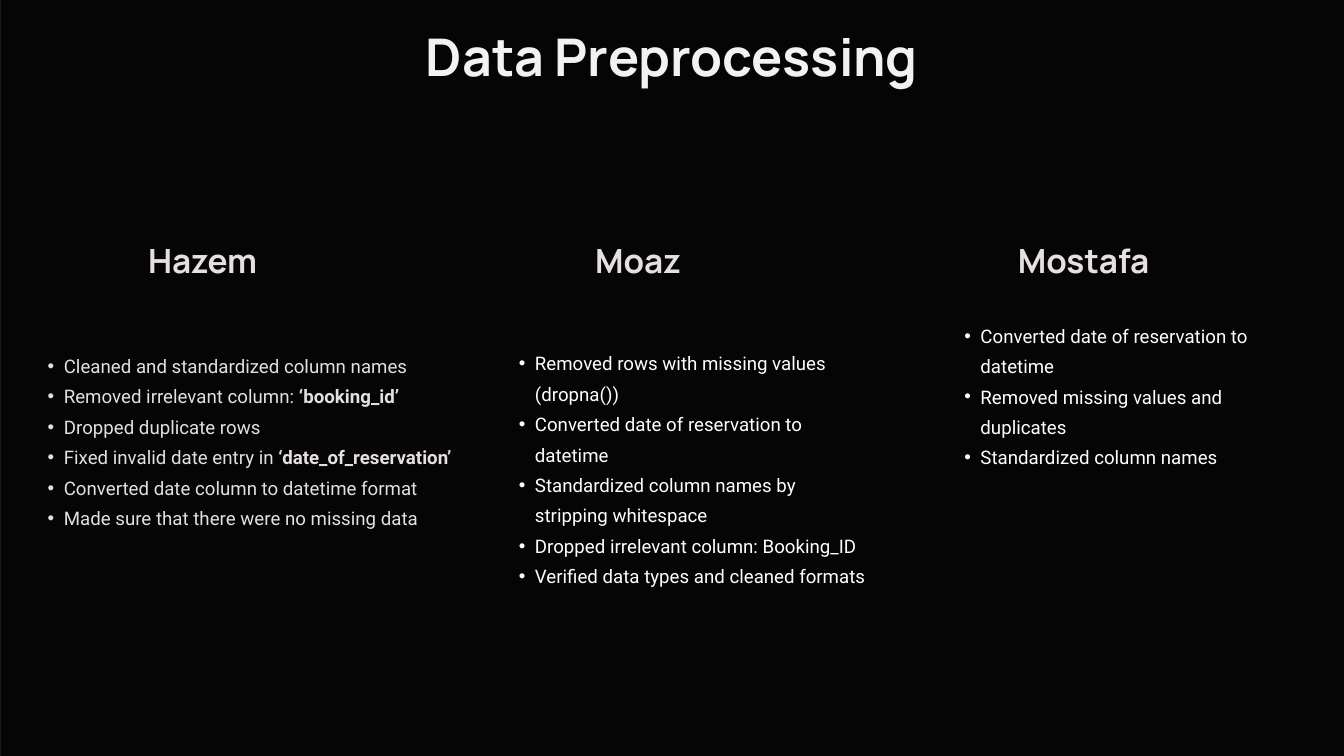
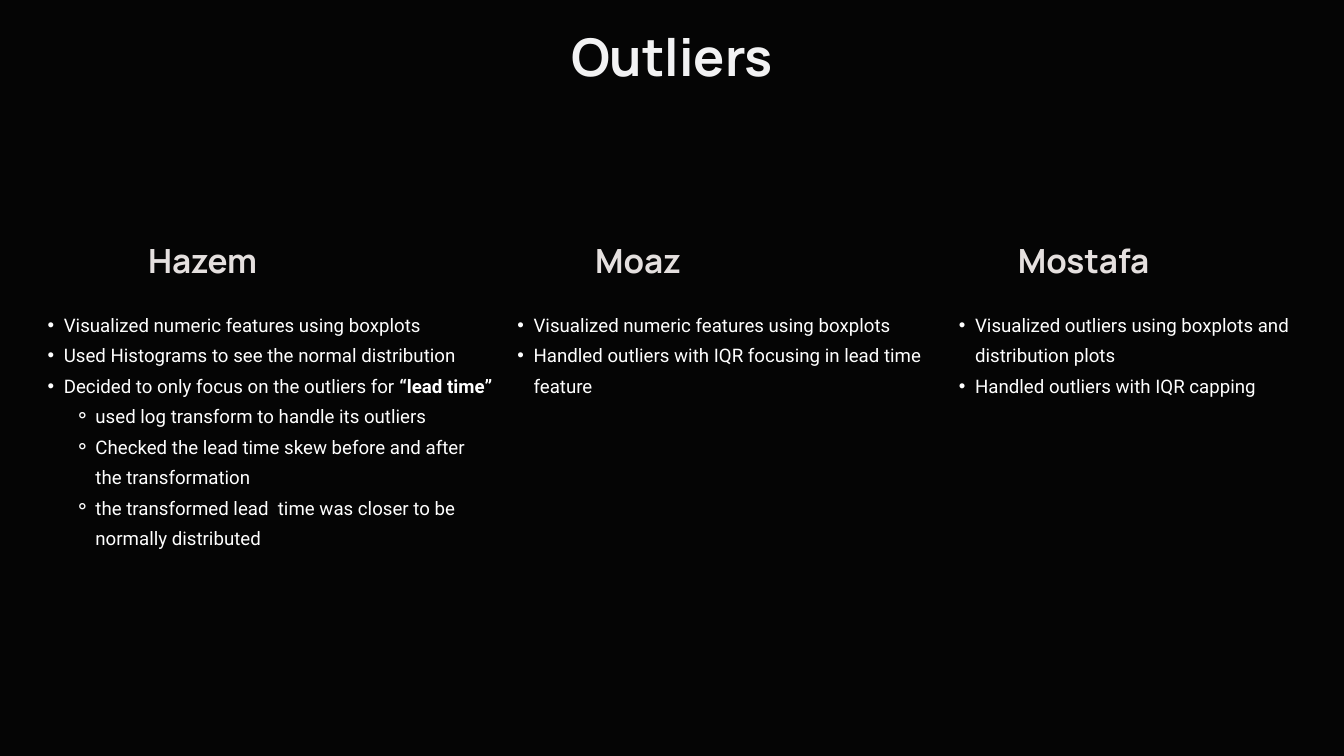
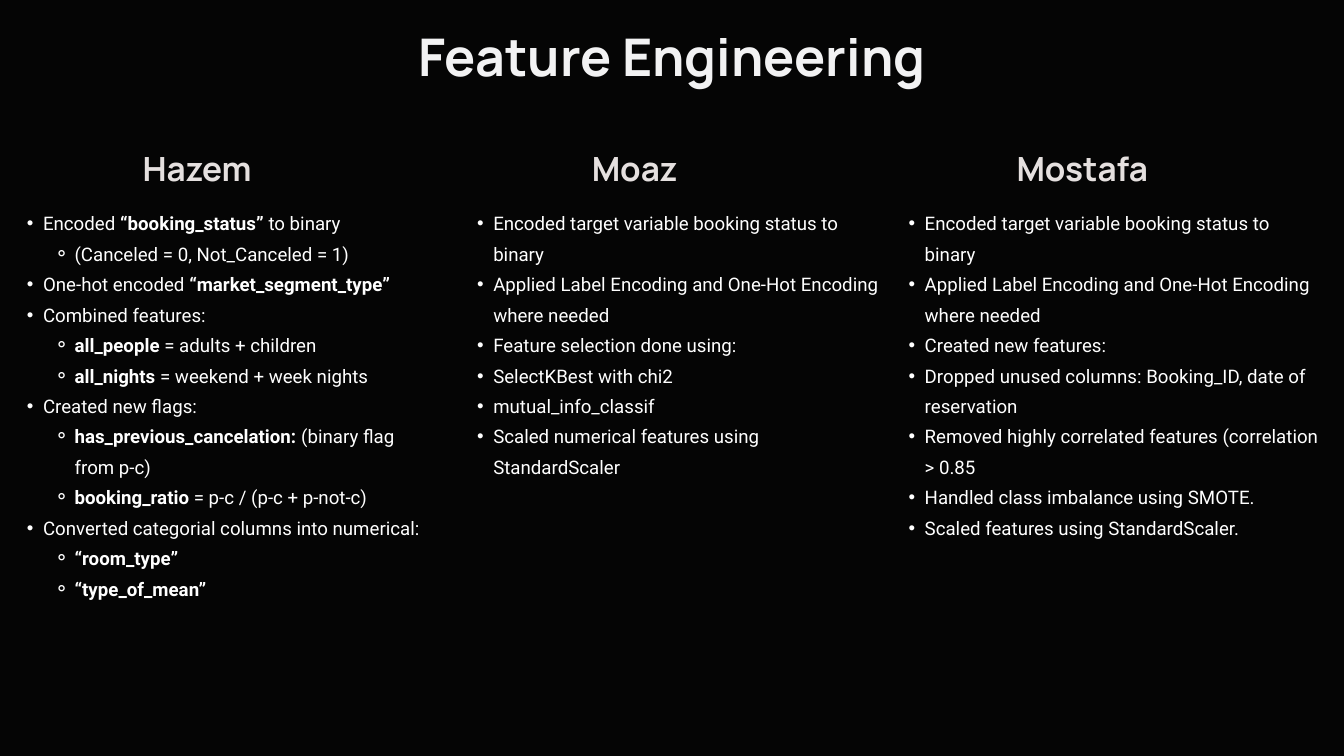
import copy

from lxml import etree
from pptx import Presentation, util as u
from pptx.dml.color import RGBColor
from pptx.enum import shapes, text
from pptx.oxml.ns import qn

WIDTH, HEIGHT = 20, 11.25
BLACK, EDGE, PANEL = "000000", "19191A", "050505"
TITLE_COLOR, SOFT, WHITE = "F2F2F3", "E5E0DF", "FFFFFF"

# style: font, size, line spacing (points)
TITLE_STYLE = ("Manrope", 55.6, 69.4)
NAME_STYLE = ("Manrope", 35.7, 44.6)
LIST_STYLE = ("Roboto", 20, 32.6)
# level: bullet, left margin, hanging indent (inches)
BULLETS = [("•", 0.47, 0.24), ("⚬", 0.94, 0.31)]

TITLE_BOX = (5.67, 0.33, 8.66, 1.01)
MEMBERS = [("Hazem", 1.81), ("Moaz", 1.45), ("Mostafa ", 2.19)]  # name, width
NAME_HEIGHT = 0.64

# Items: ** marks bold, a leading tab marks the second level.
# Each list: left, top, width, height, colour, items
SLIDES = [
    dict(title="Data Preprocessing", panel_left=0.02,
         names_top=3.55, names_left=(2.11, 8.77, 15.08), lists=[
        (0.48, 5.16, 6.86, 3.12, SOFT, [
            "Cleaned and standardized column names",
            "Removed irrelevant column:** ‘booking_id’**",
            "Dropped duplicate rows",
            "Fixed invalid date entry in **‘date_of_reservation’**",
            "Converted date column to datetime format",
            "Made sure that there were no missing data"]),
        (7.49, 5.12, 5.51, 3.57, WHITE, [
            "Removed rows with missing values (dropna())",
            "Converted date of reservation to datetime",
            "Standardized column names by stripping whitespace",
            "Dropped irrelevant column: Booking_ID",
            "Verified data types and cleaned formats"]),
        (14.12, 4.71, 5.41, 2.67, WHITE, [
            "Converted date of reservation to datetime",
            "Removed missing values and duplicates",
            "Standardized column names"]),
    ]),
    dict(title="Outliers", panel_left=0,
         names_top=3.55, names_left=(2.11, 8.77, 15.08), lists=[
        (0.48, 4.55, 6.86, 4.02, WHITE, [
            "Visualized numeric features using boxplots",
            "Used Histograms to see the normal distribution",
            "Decided to only focus on the outliers for **“lead time”**",
            "\tused log transform to handle its outliers",
            "\tChecked the lead time skew before and after the transformation",
            "\tthe transformed lead  time was closer to be normally distributed"]),
        (7.47, 4.55, 6.86, 1.33, WHITE, [
            "Visualized numeric features using boxplots",
            "Handled outliers with IQR focusing in lead time feature"]),
        (14.04, 4.55, 5.36, 1.33, WHITE, [
            "Visualized outliers using boxplots and distribution plots",
            "Handled outliers with IQR capping"]),
    ]),
    dict(title="Feature Engineering", panel_left=0,
         names_top=2.18, names_left=(2.03, 8.72, 15.06), lists=[
        (0.17, 3.04, 6.31, 5.81, WHITE, [
            "Encoded **“booking_status” **to binary",
            "\t(Canceled = 0, Not_Canceled = 1)",
            "One-hot encoded **“market_segment_type”**",
            "Combined features:",
            "\t**all_people** = adults + children",
            "\t**all_nights** = weekend + week nights",
            "Created new flags:",
            "\t**has_previous_cancelation: **(binary flag from p-c)",
            "\t**booking_ratio** = p-c / (p-c + p-not-c)",
            "Converted categorial columns into numerical:",
            "\t**“room_type”**",
            "\t**“type_of_mean”**"]),
        (6.87, 3.04, 6.26, 4.46, WHITE, [
            "Encoded target variable booking status to binary",
            "Applied Label Encoding and One-Hot Encoding where needed",
            "Feature selection done using:",
            "SelectKBest with chi2",
            "mutual_info_classif",
            "Scaled numerical features using StandardScaler"]),
        (13.29, 3.04, 6.4, 5.81, WHITE, [
            "Encoded target variable booking status to binary",
            "Applied Label Encoding and One-Hot Encoding where needed",
            "Created new features:",
            "Dropped unused columns: Booking_ID, date of reservation",
            "Removed highly correlated features (correlation > 0.85",
            "Handled class imbalance using SMOTE.",
            "Scaled features using StandardScaler."]),
    ]),
]


def paint(fill, color):
    fill.solid()
    fill.fore_color.rgb = RGBColor.from_string(color)


def add_third_column(layout):
    """Extend the Comparison layout with one more heading and list."""
    for source_idx, new_idx in ((1, 5), (2, 6)):
        column = copy.deepcopy(layout.placeholders.get(source_idx).element)
        column.xpath(".//p:ph")[0].set("idx", str(new_idx))
        column.xpath(".//p:cNvPr")[0].set("id", str(20 + new_idx))
        layout.shapes.element.append(column)


def add_backdrop(slide, panel_left):
    for depth, (left, color) in enumerate([(0, EDGE), (panel_left, PANEL)]):
        backdrop = slide.shapes.add_shape(
            shapes.MSO_SHAPE.RECTANGLE, u.Inches(left), 0,
            u.Inches(WIDTH - left), u.Inches(HEIGHT))
        paint(backdrop.fill, color)
        backdrop.line.fill.background()
        backdrop.shadow.inherit = False
        slide.shapes.element.insert(2 + depth, backdrop.element)


def place(holder, box):
    holder.left, holder.top, holder.width, holder.height = map(u.Inches, box)
    frame = holder.text_frame
    frame.margin_left = frame.margin_top = frame.margin_right = frame.margin_bottom = 0
    frame.vertical_anchor = text.MSO_ANCHOR.TOP
    frame.auto_size = text.MSO_AUTO_SIZE.NONE
    frame.word_wrap = True
    return frame


def write(paragraph, words, style, color, bold=False):
    font_name, size, spacing = style
    paragraph.line_spacing = u.Pt(spacing)
    paragraph.space_before = paragraph.space_after = u.Pt(0)
    for part, piece in enumerate(words.split("**")):
        if piece:
            run = paragraph.add_run()
            run.text = piece
            run.font.name, run.font.size = font_name, u.Pt(size)
            run.font.bold = bold or part % 2 == 1
            paint(run.font.fill, color)


def write_heading(holder, box, words, style, color):
    paragraph = place(holder, box).paragraphs[0]
    paragraph.alignment = text.PP_ALIGN.CENTER
    write(paragraph, words, style, color, bold=True)


def write_list(holder, box, color, items):
    frame = place(holder, box)
    for number, item in enumerate(items):
        paragraph = frame.add_paragraph() if number else frame.paragraphs[0]
        paragraph.level = int(item.startswith("\t"))
        write(paragraph, item.lstrip("\t"), LIST_STYLE, color)
        bullet, margin, hanging = BULLETS[paragraph.level]
        props = paragraph._p.get_or_add_pPr()
        props.set("marL", str(u.Inches(margin)))
        props.set("indent", str(-u.Inches(hanging)))
        etree.SubElement(props, qn("a:buChar")).set("char", bullet)


def main():
    prs = Presentation()
    prs.slide_width, prs.slide_height = u.Inches(WIDTH), u.Inches(HEIGHT)
    paint(prs.slide_master.background.fill, BLACK)
    comparison = prs.slide_layouts.get_by_name("Comparison")
    add_third_column(comparison)

    for topic in SLIDES:
        slide = prs.slides.add_slide(comparison)
        add_backdrop(slide, topic["panel_left"])
        write_heading(slide.shapes.title, TITLE_BOX, topic["title"],
                      TITLE_STYLE, TITLE_COLOR)
        columns = zip(MEMBERS, topic["names_left"], topic["lists"])
        for column, ((name, width), left, (*box, color, items)) in enumerate(columns):
            name_box = (left, topic["names_top"], width, NAME_HEIGHT)
            write_heading(slide.placeholders[2 * column + 1], name_box, name,
                          NAME_STYLE, SOFT)
            write_list(slide.placeholders[2 * column + 2], box, color, items)

    prs.save("out.pptx")


if __name__ == "__main__":
    main()
